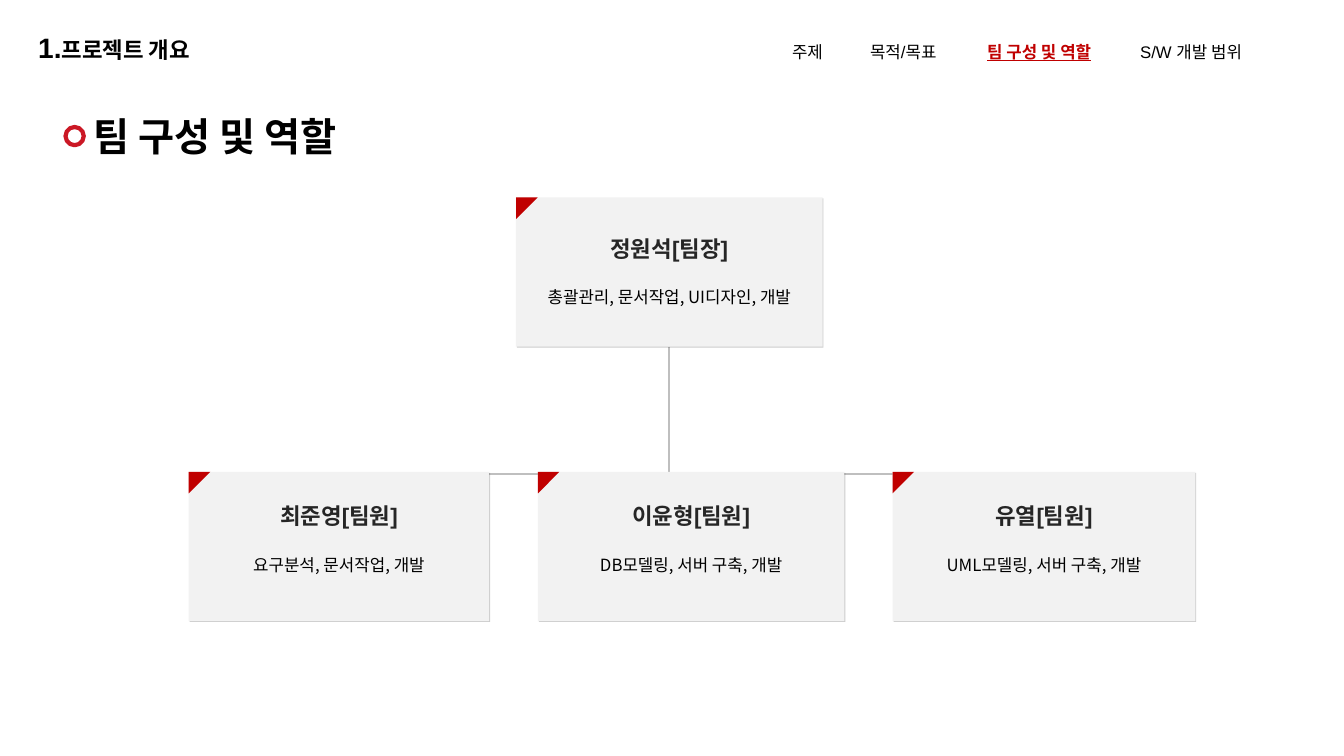
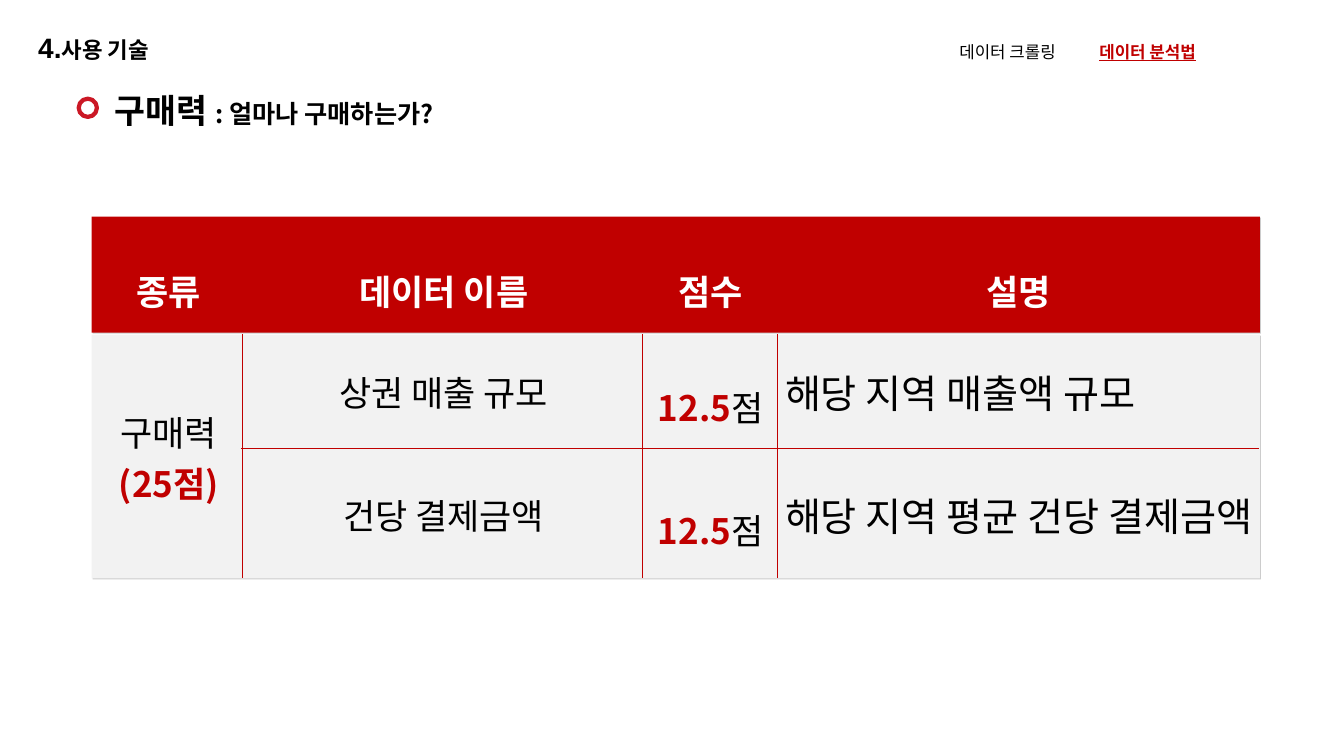
from lxml.etree import SubElement
from pptx import Presentation
from pptx.dml.color import RGBColor
from pptx.enum.shapes import MSO_CONNECTOR, MSO_SHAPE
from pptx.enum.text import MSO_ANCHOR, MSO_AUTO_SIZE, PP_ALIGN
from pptx.oxml.ns import qn
from pptx.util import Pt

RED, RING, PANEL, GRAY = "C00000", "CB1825", "F2F2F2", "BFBFBF"
BLACK, DARK, WHITE = "000000", "262626", "FFFFFF"
ARIAL, NOTO = "Arial", "Noto Sans CJK KR"
rgb = RGBColor.from_string


def write(p, runs, align=PP_ALIGN.LEFT):
    p.alignment = align
    for text, size, font, color, bold in runs:
        r = p.add_run()
        r.text = text
        r.font.size = Pt(size)
        r.font.name = font
        r.font.color.rgb = rgb(color)
        r.font.bold = bold
        SubElement(r.font._element, qn("a:ea"), typeface=NOTO)


def add_line(s, x1, y1, x2, y2, color, width):
    line = s.shapes.add_connector(MSO_CONNECTOR.STRAIGHT, Pt(x1), Pt(y1), Pt(x2), Pt(y2))
    line.line.color.rgb = rgb(color)
    line.line.width = Pt(width)
    SubElement(line._element.spPr, qn("a:effectLst"))
    return line


prs = Presentation()
prs.slide_width, prs.slide_height = Pt(960), Pt(540)

pages = [
    {
        "section": ("1.", "프로젝트 개요"),
        "nav": ["주제", "목적/목표", "팀 구성 및 역할", "S/W 개발 범위"],
        "nav_left": 558.7, "tabs": [55.7, 139.3, 248.6], "active": 2,
        "title": [("팀 구성 및 역할", 28, ARIAL, BLACK, True)],
        "title_at": (59.8, 76.3), "ring_at": (46.8, 90.7),
    },
    {
        "section": ("4.", "사용 기술"),
        "nav": ["데이터 크롤링", "데이터 분석법"],
        "nav_left": 678.2, "tabs": [100], "active": 1,
        "title": [("구매력 ", 24, NOTO, BLACK, True),
                  (": 얼마나 구매하는가?", 18, NOTO, BLACK, True)],
        "title_at": (74.9, 60.5), "ring_at": (56.2, 70.5),
    },
]

slides = []
for page in pages:
    s = prs.slides.add_slide(prs.slide_layouts[5])
    slides.append(s)

    title = s.shapes.title
    x, y = page["title_at"]
    title.left, title.top, title.width, title.height = Pt(x), Pt(y), Pt(320), Pt(41)
    tf = title.text_frame
    tf.word_wrap = True
    tf.auto_size = MSO_AUTO_SIZE.NONE
    tf.vertical_anchor = MSO_ANCHOR.TOP
    write(tf.paragraphs[0], page["title"])

    x, y = page["ring_at"]
    ring = s.shapes.add_shape(MSO_SHAPE.OVAL, Pt(x), Pt(y), Pt(13), Pt(13))
    ring.shadow.inherit = False
    ring.fill.background()
    ring.line.color.rgb = rgb(RING)
    ring.line.width = Pt(3)

    number, name = page["section"]
    tf = s.shapes.add_textbox(Pt(20.2), Pt(18), Pt(183), Pt(31.5)).text_frame
    tf.word_wrap = True
    write(tf.paragraphs[0], [(number, 20, ARIAL, BLACK, True), (name, 16, ARIAL, BLACK, True)])

    left = page["nav_left"]
    tf = s.shapes.add_textbox(Pt(left), Pt(26), Pt(950 - left), Pt(21.6)).text_frame
    tf.word_wrap = True
    p = tf.paragraphs[0]
    tabs = SubElement(p._p.get_or_add_pPr(), qn("a:tabLst"))
    for stop in page["tabs"]:
        SubElement(tabs, qn("a:tab"), pos=str(Pt(stop)), algn="l")
    for i, item in enumerate(page["nav"]):
        active = i == page["active"]
        if i:
            write(p, [("\t", 12, ARIAL, BLACK, False)])
        write(p, [(item, 12, ARIAL, RED if active else BLACK, active)])
        p.runs[-1].font.underline = active

team, data = slides
trunk = add_line(team, 478.1, 247.6, 478.1, 338.4, GRAY, 1.5)
add_line(team, 288.7, 338.4, 667.4, 338.4, GRAY, 1.5)

panels = []
for s, x, y, w, h, color in [
    (team, 368.6, 141, 219, 106.6, PANEL),
    (team, 134.8, 337, 214.6, 106.6, PANEL),
    (team, 384.2, 337, 219, 106.6, PANEL),
    (team, 637.6, 337, 216.2, 106.6, PANEL),
    (data, 65.5, 154.8, 834.5, 82.8, RED),
    (data, 65.5, 239, 834.5, 174.2, PANEL),
]:
    sp = s.shapes.add_shape(MSO_SHAPE.RECTANGLE, Pt(x), Pt(y), Pt(w), Pt(h))
    sp.fill.solid()
    sp.fill.fore_color.rgb = rgb(color)
    sp.line.fill.background()
    sp.shadow.inherit = False
    shadow = SubElement(sp._element.spPr.find(qn("a:effectLst")), qn("a:outerShdw"),
                        blurRad="0", dist="12700", dir="2700000", algn="tl", rotWithShape="0")
    tint = SubElement(shadow, qn("a:srgbClr"), val=BLACK)
    SubElement(tint, qn("a:alpha"), val="20000")
    panels.append(sp)

trunk.begin_connect(panels[0], 2)

members = [
    ("정원석[팀장]", "총괄관리, 문서작업, UI디자인, 개발", 26.6),
    ("최준영[팀원]", "요구분석, 문서작업, 개발", 22),
    ("이윤형[팀원]", "DB모델링, 서버 구축, 개발", 22),
    ("유열[팀원]", "UML모델링, 서버 구축, 개발", 22),
]
for card, (name, role, top) in zip(panels, members):
    tf = card.text_frame
    tf.word_wrap = True
    tf.vertical_anchor = MSO_ANCHOR.TOP
    tf.margin_top = Pt(top)
    write(tf.paragraphs[0], [(name, 16, ARIAL, DARK, True)], PP_ALIGN.CENTER)
    p = tf.add_paragraph()
    p.space_before = Pt(18)
    write(p, [(role, 12, NOTO, BLACK, False)], PP_ALIGN.CENTER)
    corner = team.shapes.add_shape(MSO_SHAPE.RIGHT_TRIANGLE, card.left, card.top, Pt(15.4), Pt(15.4))
    corner.rotation = 90
    corner.shadow.inherit = False
    corner.fill.solid()
    corner.fill.fore_color.rgb = rgb(RED)
    corner.line.fill.background()

col_widths = [108.7, 284.4, 96.5, 344.2]
row_heights = [83.5, 82.1, 93.6]
table = data.shapes.add_table(3, 4, Pt(66.2), Pt(154.8), Pt(sum(col_widths)), Pt(sum(row_heights))).table
table.first_row = table.horz_banding = False
table._tbl.tblPr.find(qn("a:tableStyleId")).text = "{2D5ABB26-0587-4C30-8999-92F81FD0307C}"
for col, width in zip(table.columns, col_widths):
    col.width = Pt(width)
for row, height in zip(table.rows, row_heights):
    row.height = Pt(height)
table.cell(1, 0).merge(table.cell(2, 0))

score = [[("12.5", 25, NOTO, RED, True), ("점", 25, NOTO, BLACK, False)]]
rows = [
    [[[(head, 25, NOTO, WHITE, True)]] for head in ("종류", "데이터 이름", "점수", "설명")],
    [
        [[("구매력", 25, NOTO, BLACK, False)], [("(25점)", 25, NOTO, RED, True)]],
        [[("상권 매출 규모", 25, NOTO, BLACK, False)]],
        score,
        [[("해당 지역 매출액 규모", 28, NOTO, BLACK, False)]],
    ],
    [
        [],
        [[("건당 결제금액", 25, NOTO, BLACK, False)]],
        score,
        [[("해당 지역 평균 건당 결제금액", 28, NOTO, BLACK, False)]],
    ],
]
for i, row in enumerate(rows):
    for j, paragraphs in enumerate(row):
        cell = table.cell(i, j)
        cell.fill.background()
        cell.vertical_anchor = MSO_ANCHOR.MIDDLE
        cell.margin_left = cell.margin_right = Pt(5)
        cell.margin_top = cell.margin_bottom = Pt(1.4)
        for k, runs in enumerate(paragraphs):
            p = cell.text_frame.add_paragraph() if k else cell.text_frame.paragraphs[0]
            if i == 0 or j == 2:
                p.line_spacing = 1.6
            write(p, runs, PP_ALIGN.LEFT if i and j == 3 else PP_ALIGN.CENTER)

add_line(data, 172.1, 320.4, 899.3, 320.4, RED, 0.5)
for x in (172.8, 458.6, 555.1):
    add_line(data, x, 412.6, x, 238.3, RED, 0.5)

prs.save("out.pptx")
